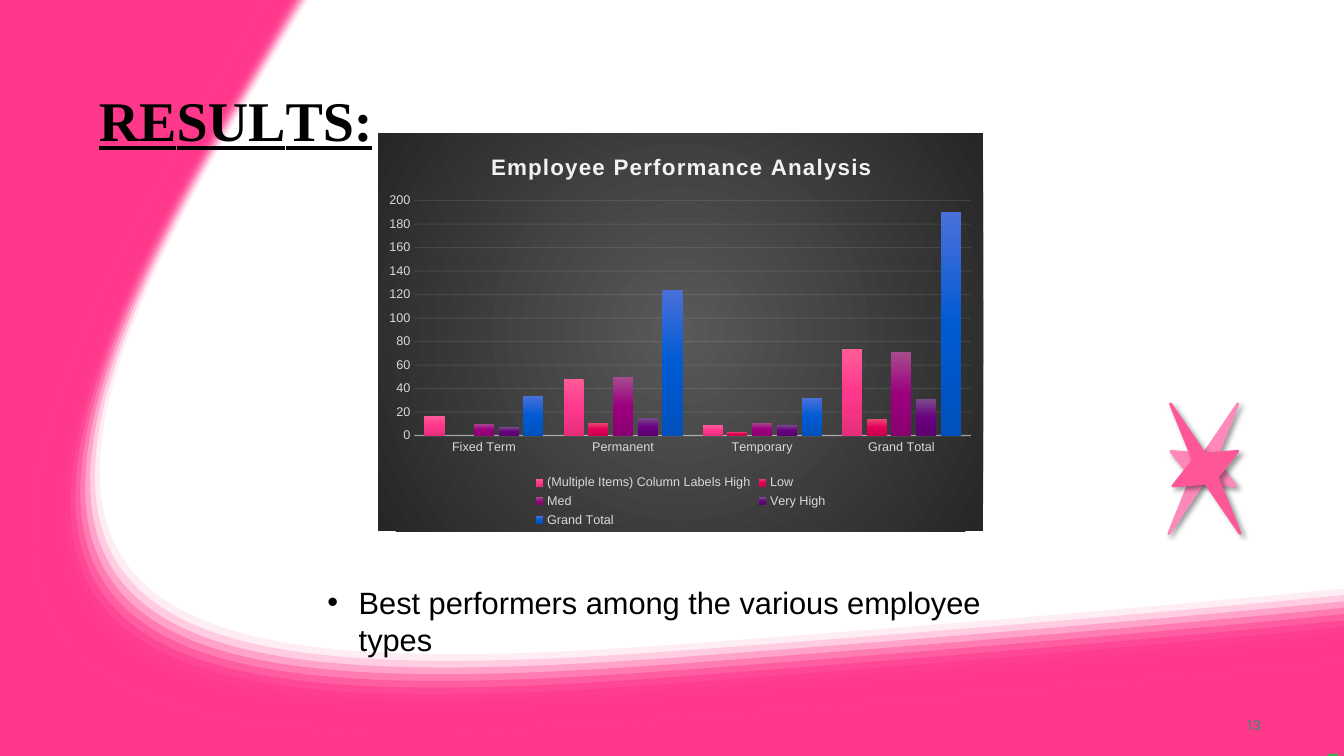
from collections import namedtuple

from lxml.etree import SubElement
from pptx import Presentation
from pptx.chart.data import CategoryChartData
from pptx.dml.color import RGBColor
from pptx.enum.chart import XL_CHART_TYPE, XL_LEGEND_POSITION, XL_TICK_MARK
from pptx.enum.shapes import MSO_SHAPE
from pptx.enum.text import MSO_ANCHOR
from pptx.oxml import parse_xml
from pptx.oxml.ns import nsdecls, qn
from pptx.util import Inches, Pt

Box = namedtuple("Box", "left top width height")

COLORS = {
    "pink": "FF388C", "green": "42AF51", "number": "2D936B", "black": "000000",
    "back_star": "FF88BA", "front_star": "FF5698",
    "light": "F2F2F2", "label": "D9D9D9", "chart_light": "595959", "chart_dark": "262626",
}
OUTER_EDGE = [(2.65, 0), (2.65, 0), (2.4, 0.41), (1.96, 1.15), (-1.62, 7.12),
              (1.06, 7.55), (6.55, 7.14), (10.75, 6.82), (13.33, 6.56), (13.33, 6.56)]
WIDE_EDGE = [(13.33, 5.84), (13.31, 5.84), (10.85, 6.09), (6.9, 6.38), (1.61, 6.78),
             (-0.73, 6.32), (2.4, 1.09), (2.81, 0.4), (3.05, 0.01), (3.06, 0)]
NARROW_EDGE = [(13.33, 6.47), (12.99, 6.51), (10.48, 6.75), (6.64, 7.04), (1.22, 7.45),
               (-1.42, 7.03), (2.11, 1.14), (2.48, 0.52), (2.71, 0.11), (2.77, 0)]
BANDS = 11

TITLE_SPANS = [("R", 0), ("E", -0.4), ("S", 0.1), ("U", -0.3), ("L", -4), ("TS:", 0)]
CATEGORIES = ["Fixed Term", "Permanent", "Temporary", "Grand Total"]
SERIES = [
    ("(Multiple Items) Column Labels High", (17, 48, 9, 74), ("FF5C99", "FF388C", "E52F7C")),
    ("Low", (None, 11, 3, 14), ("EA4B6F", "E40059", "CB004F")),
    ("Med", (10, 50, 11, 71), ("A74B8D", "9C007F", "8B0071")),
    ("Very High", (7, 15, 9, 31), ("7A4B8D", "68007F", "5C0071")),
    ("Grand Total", (34, 124, 32, 190), ("4B70DA", "005BD3", "0051BC")),
]


def apply_format(target, values):
    for name, value in values.items():
        setattr(target, name, value)


def style_font(font, color, **values):
    apply_format(font, values)
    font.color.rgb = RGBColor.from_string(COLORS[color])


def set_fill(fill, color, opacity=100):
    fill.solid()
    fill.fore_color.rgb = RGBColor.from_string(COLORS[color])
    if opacity < 100:
        for tone in fill._xPr.find(qn("a:solidFill")):
            SubElement(tone, qn("a:alpha"), val=str(round(opacity * 1000)))


def gradient(tones, direction):
    stops = "".join(
        f'<a:gs pos="{round(100000 * index / (len(tones) - 1))}"><a:srgbClr val="{tone}"/></a:gs>'
        for index, tone in enumerate(tones))
    return f'<a:gradFill {nsdecls("a")}><a:gsLst>{stops}</a:gsLst>{direction}</a:gradFill>'


def add_step(outline, kind, *points):
    step = SubElement(outline, qn(kind))
    for x, y in points:
        SubElement(step, qn("a:pt"), x=str(Inches(x)), y=str(Inches(y)))


def add_curve(outline, edge):
    for start in range(1, len(edge), 3):
        add_step(outline, "a:cubicBezTo", *edge[start:start + 3])


def draw_outline(page, box, far_side, opacity=100):
    right, bottom = Inches(box.left + box.width), Inches(box.top + box.height)
    left, top = Inches(box.left), Inches(box.top)
    builder = page.shapes.build_freeform(left, top)
    builder.add_line_segments([(right, top), (right, bottom), (left, bottom)])
    shape = builder.convert_to_shape()
    outline = next(shape._element.iter(qn("a:path")))
    for step in list(outline):
        outline.remove(step)
    add_step(outline, "a:moveTo", OUTER_EDGE[0])
    add_curve(outline, OUTER_EDGE)
    far_side(outline)
    add_step(outline, "a:close")
    shape.shadow.inherit = False
    shape.line.fill.background()
    set_fill(shape.fill, "pink", opacity)


def draw_backdrop(page, box):
    def add_corners(outline):
        for corner in ((box.width, box.height), (0, box.height), (0, 0)):
            add_step(outline, "a:lnTo", corner)

    draw_outline(page, box, add_corners)
    for band in range(BANDS):
        share = band / (BANDS - 1)
        inner = [tuple(a + (b - a) * share for a, b in zip(wide, narrow))
                 for wide, narrow in zip(WIDE_EDGE, NARROW_EDGE)]

        def add_inner(outline):
            add_step(outline, "a:lnTo", inner[0])
            add_curve(outline, inner)

        draw_outline(page, box, add_inner, 100 * (band + 1) / BANDS)
    speck = page.shapes.add_shape(
        MSO_SHAPE.RECTANGLE, Inches(box.left + box.width - 0.16),
        Inches(box.top + box.height - 0.02), Inches(0.1), Inches(0.02))
    speck.shadow.inherit = False
    speck.line.fill.background()
    set_fill(speck.fill, "green")


def add_text(page, box, spans, font, indent=(0, 0), bullet=None, space_before=0, **frame_format):
    frame = page.shapes.add_textbox(*map(Inches, box)).text_frame
    apply_format(frame, {"word_wrap": True, **frame_format})
    para = frame.paragraphs[0]
    para.space_before = Pt(space_before)
    properties = para._p.get_or_add_pPr()
    for name, value in zip(("marL", "indent"), indent):
        properties.set(name, str(Inches(value)))
    if bullet:
        SubElement(properties, qn("a:buFont"), typeface="Arial")
        SubElement(properties, qn("a:buChar"), char=bullet)
    for text, spacing in spans:
        span = para.add_run()
        span.text = text
        style_font(span.font, **font)
        if spacing:
            span._r.get_or_add_rPr().set("spc", str(round(spacing * 100)))


def draw_stars(page, box):
    for color, offset, angle in (("back_star", 0, 28), ("front_star", 0.02, 331.8)):
        star = page.shapes.add_shape(
            MSO_SHAPE.STAR_4_POINT, Inches(box.left + offset), Inches(box.top),
            Inches(box.width), Inches(box.height))
        star.adjustments[0] = 0.125
        star.rotation = angle
        set_fill(star.fill, color)
        set_fill(star.line.fill, color)
        star.line.width = Pt(2)
        star.shadow.inherit = False
        effects = star._element.spPr.find(qn("a:effectLst"))
        shadow = SubElement(effects, qn("a:outerShdw"), blurRad=str(Pt(4)), dist=str(Pt(3)),
                            dir="2700000", algn="tl", rotWithShape="0")
        tone = SubElement(shadow, qn("a:srgbClr"), val=COLORS["black"])
        SubElement(tone, qn("a:alpha"), val="40000")


def manual_layout(**values):
    parts = "".join(f'<c:{name} val="{value}"/>' for name, value in values.items())
    return parse_xml(f'<c:layout {nsdecls("c")}><c:manualLayout>{parts}</c:manualLayout></c:layout>')


def draw_chart(page, box):
    data = CategoryChartData()
    data.categories = CATEGORIES
    for name, values, _ in SERIES:
        data.add_series(name, values)
    chart = page.shapes.add_chart(
        XL_CHART_TYPE.COLUMN_CLUSTERED, *map(Inches, box), data).chart
    style_font(chart.font, "black", name="Arial", size=Pt(10))

    spread = '<a:path path="circle"><a:fillToRect l="0" t="0" r="0" b="0"/></a:path>'
    background = gradient((COLORS["chart_light"], COLORS["chart_dark"]), spread)
    chart._chartSpace.find(qn("c:txPr")).addprevious(parse_xml(
        f'<c:spPr {nsdecls("c", "a")}>{background}<a:ln><a:noFill/></a:ln></c:spPr>'))

    chart.has_title = True
    span = chart.chart_title.text_frame.paragraphs[0].add_run()
    span.text = "Employee Performance Analysis"
    style_font(span.font, "light", name="Arial", size=Pt(16), bold=True)
    span._r.get_or_add_rPr().set("spc", "100")
    title = chart.chart_title._element
    plot = chart.plots[0]
    area = plot._element.getparent()
    for holder in (title, area):
        for layout in holder.findall(qn("c:layout")):
            holder.remove(layout)
    title.find(qn("c:tx")).addnext(manual_layout(xMode="edge", yMode="edge", x=0.18, y=0.04))
    area.insert(0, manual_layout(layoutTarget="inner", xMode="edge", yMode="edge",
                                 x=0.06, y=0.17, w=0.92, h=0.59))

    apply_format(plot, {"gap_width": 100, "overlap": -23, "vary_by_categories": False})
    for series, (_, _, tones) in zip(plot.series, SERIES):
        series.format.fill.solid()
        properties = series._element.find(qn("c:spPr"))
        properties.replace(properties.find(qn("a:solidFill")),
                           parse_xml(gradient(tones, '<a:lin ang="5400000" scaled="0"/>')))

    for axis in (chart.category_axis, chart.value_axis):
        apply_format(axis, {"major_tick_mark": XL_TICK_MARK.NONE,
                            "minor_tick_mark": XL_TICK_MARK.NONE})
        style_font(axis.tick_labels.font, "label", name="Arial", size=Pt(9))
    apply_format(chart.value_axis, {"minimum_scale": 0, "maximum_scale": 200, "major_unit": 20})
    chart.value_axis.format.line.fill.background()
    for line, opacity, width in ((chart.category_axis.format.line, 54, 1),
                                 (chart.value_axis.major_gridlines.format.line, 10, 0.75)):
        set_fill(line.fill, "light", opacity)
        line.width = Pt(width)

    chart.has_legend = True
    apply_format(chart.legend, {"position": XL_LEGEND_POSITION.BOTTOM, "include_in_layout": False})
    style_font(chart.legend.font, "label", name="Arial", size=Pt(9))


def main():
    deck = Presentation()
    apply_format(deck, {"slide_width": Inches(13.33), "slide_height": Inches(7.5)})
    page = deck.slides.add_slide(deck.slide_layouts[6])
    tight = {"margin_left": 0, "margin_right": 0, "margin_top": Inches(0.01), "margin_bottom": 0}
    draw_backdrop(page, Box(0, 0, 13.33, 7.5))
    add_text(page, Box(0.97, 0.84, 3.61, 0.68), TITLE_SPANS,
             {"color": "black", "name": "Times New Roman", "size": Pt(40),
              "bold": True, "underline": True},
             indent=(0.01, 0), space_before=1.1, vertical_anchor=MSO_ANCHOR.MIDDLE, **tight)
    add_text(page, Box(12.33, 7.08, 0.25, 0.19), [("13", 0.1)],
             {"color": "number", "name": "Karla", "size": Pt(11)},
             indent=(0.04, 0), space_before=0.6, **tight)
    draw_stars(page, Box(11.57, 3.92, 0.73, 1.46))
    draw_chart(page, Box(3.75, 1.32, 6, 3.95))
    add_text(page, Box(3.15, 5.74, 7.06, 0.83),
             [("Best performers among the various employee types", 0)],
             {"color": "black", "name": "Arial", "size": Pt(22)},
             indent=(0.31, -0.31), bullet="•")
    deck.save("out.pptx")


if __name__ == "__main__":
    main()
